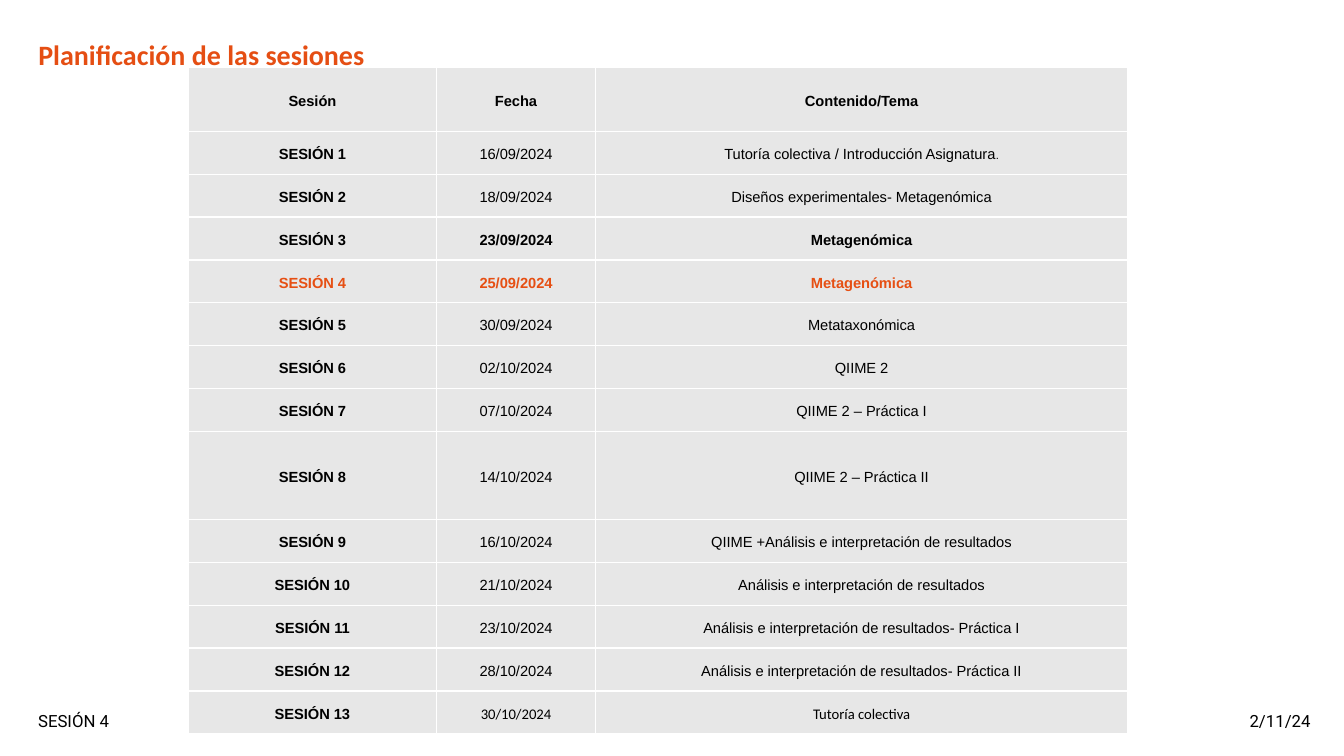
import pptx
import pptx.util
import pptx.dml.color
import pptx.enum.text
import pptx.oxml

Cm = pptx.util.Cm
Pt = pptx.util.Pt
ALIGN = pptx.enum.text.PP_ALIGN
ANCHOR = pptx.enum.text.MSO_ANCHOR

COLORS = {"heading": "E54E13", "current": "E64F13", "text": "000000",
          "cell": "E7E7E7", "border": "FFFFFF"}

HEADING = "Planificación de las sesiones"
FOOTERS = [
    ("SESIÓN 4", 0.71, 11.43, ALIGN.LEFT),
    ("2/11/24", 30.33, 2.95, ALIGN.RIGHT),
]
HEADERS = ("Sesión", "Fecha", "Contenido/Tema")
SESSIONS = [
    ("16/09/2024", "Tutoría colectiva / Introducción Asignatura."),
    ("18/09/2024", "Diseños experimentales- Metagenómica"),
    ("23/09/2024", "Metagenómica"),
    ("25/09/2024", "Metagenómica"),
    ("30/09/2024", "Metataxonómica"),
    ("02/10/2024", "QIIME 2"),
    ("07/10/2024", "QIIME 2 – Práctica I"),
    ("14/10/2024", "QIIME 2 – Práctica II"),
    ("16/10/2024", "QIIME +Análisis e interpretación de resultados"),
    ("21/10/2024", "Análisis e interpretación de resultados"),
    ("23/10/2024", "Análisis e interpretación de resultados- Práctica I"),
    ("28/10/2024", "Análisis e interpretación de resultados- Práctica II"),
    ("30/10/2024", "Tutoría colectiva"),
]
BOLD_ROWS = (0, 3, 4)
CURRENT_SESSION = 4
COLUMN_WIDTHS = (6.25, 4.01, 13.41)
SESSION_HEIGHT = 1.08
SPECIAL_HEIGHTS = {0: 1.61, 8: 2.22}


def set_font(font, name, size, color, bold=False):
    font.name = name
    font.size = Pt(size)
    font.bold = bold
    font.color.rgb = pptx.dml.color.RGBColor.from_string(COLORS[color])


def add_borders(cell):
    properties = cell._tc.get_or_add_tcPr()
    for side in ("lnL", "lnR", "lnT", "lnB"):
        properties.append(pptx.oxml.parse_xml(
            f'<a:{side} xmlns:a="http://schemas.openxmlformats.org/drawingml/2006/main" w="12700">'
            f'<a:solidFill><a:srgbClr val="{COLORS["border"]}"/></a:solidFill></a:{side}>'))


def fill_cell(cell, text, row, column):
    add_borders(cell)
    cell.fill.solid()
    cell.fill.fore_color.rgb = pptx.dml.color.RGBColor.from_string(COLORS["cell"])
    cell.vertical_anchor = ANCHOR.MIDDLE
    cell.margin_left = cell.margin_right = Cm(0.18 if column else 0.03)
    cell.margin_top = cell.margin_bottom = 0
    paragraph = cell.text_frame.paragraphs[0]
    paragraph.alignment = ALIGN.CENTER
    paragraph.line_spacing = 1.2
    name = "Calibri" if row == len(SESSIONS) and column else "Arial"
    color = "current" if row == CURRENT_SESSION else "text"
    bold = column == 0 or row in BOLD_ROWS
    set_font(paragraph.font, name, 10.5, color, bold)
    paragraph.add_run().text = text.removesuffix(".")
    if text.endswith("."):
        full_stop = paragraph.add_run()
        full_stop.text = "."
        full_stop.font.size = Pt(8)


def main():
    deck = pptx.Presentation()
    deck.slide_width, deck.slide_height = Cm(33.87), Cm(19.05)
    slide = deck.slides.add_slide(deck.slide_layouts[5])

    heading = slide.shapes.title
    heading.left, heading.top, heading.width, heading.height = Cm(0.71), Cm(0.91), Cm(21.67), Cm(2.03)
    heading.text_frame.text = HEADING
    heading.text_frame.vertical_anchor = ANCHOR.TOP
    heading_line = heading.text_frame.paragraphs[0]
    heading_line.alignment = ALIGN.LEFT
    heading_line.line_spacing = 0.9
    set_font(heading_line.font, "Calibri", 20, "heading", True)

    for text, left, width, alignment in FOOTERS:
        footer = slide.shapes.add_textbox(Cm(left), Cm(17.78), Cm(width), Cm(0.76)).text_frame
        footer.word_wrap = True
        footer.vertical_anchor = ANCHOR.MIDDLE
        footer.text = text
        footer.paragraphs[0].alignment = alignment
        set_font(footer.paragraphs[0].font, "Roboto", 12, "text")

    rows = [HEADERS] + [(f"SESIÓN {number}", *session)
                        for number, session in enumerate(SESSIONS, 1)]
    heights = [SPECIAL_HEIGHTS.get(row, SESSION_HEIGHT) for row in range(len(rows))]
    schedule = slide.shapes.add_table(len(rows), len(HEADERS), Cm(4.75), Cm(1.7),
                                      Cm(sum(COLUMN_WIDTHS)), Cm(sum(heights))).table
    schedule.first_row = schedule.horz_banding = False
    for column, width in enumerate(COLUMN_WIDTHS):
        schedule.columns[column].width = Cm(width)
    for row, texts in enumerate(rows):
        schedule.rows[row].height = Cm(heights[row])
        for column, text in enumerate(texts):
            fill_cell(schedule.cell(row, column), text, row, column)

    deck.save("out.pptx")


if __name__ == "__main__":
    main()
